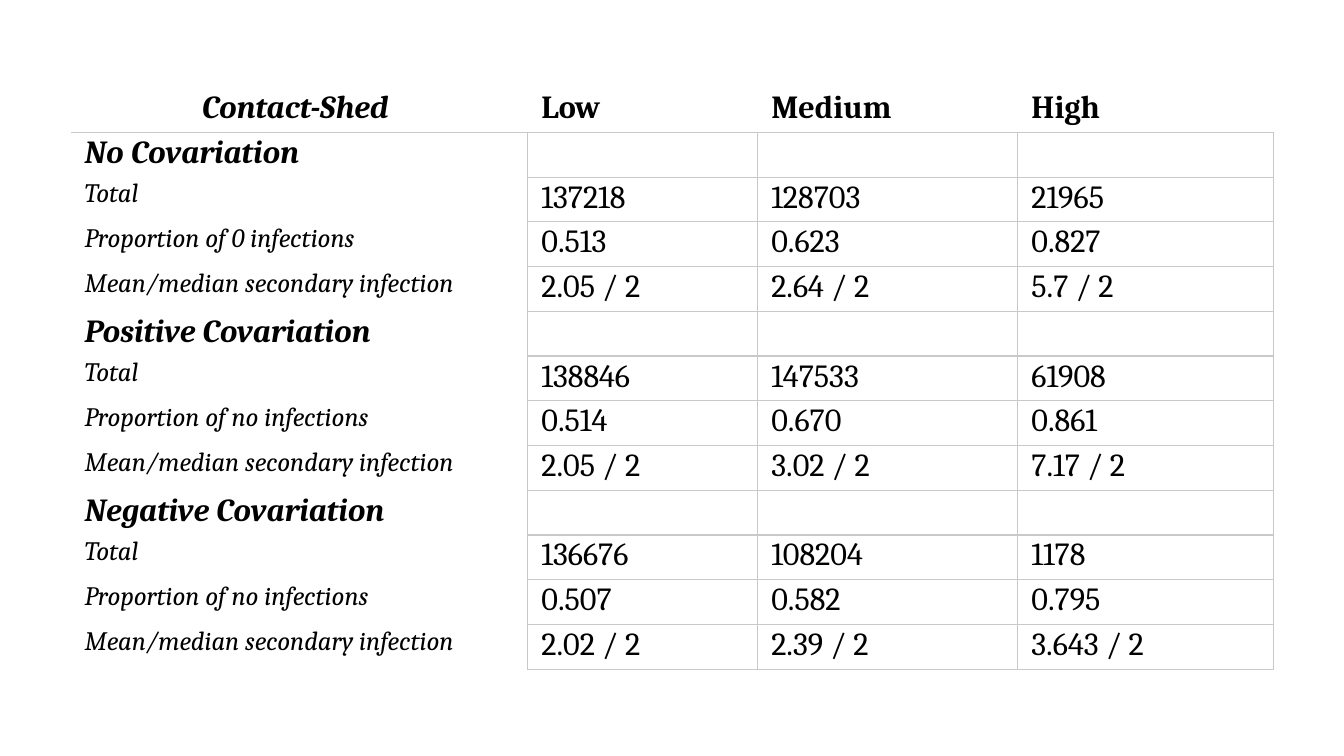
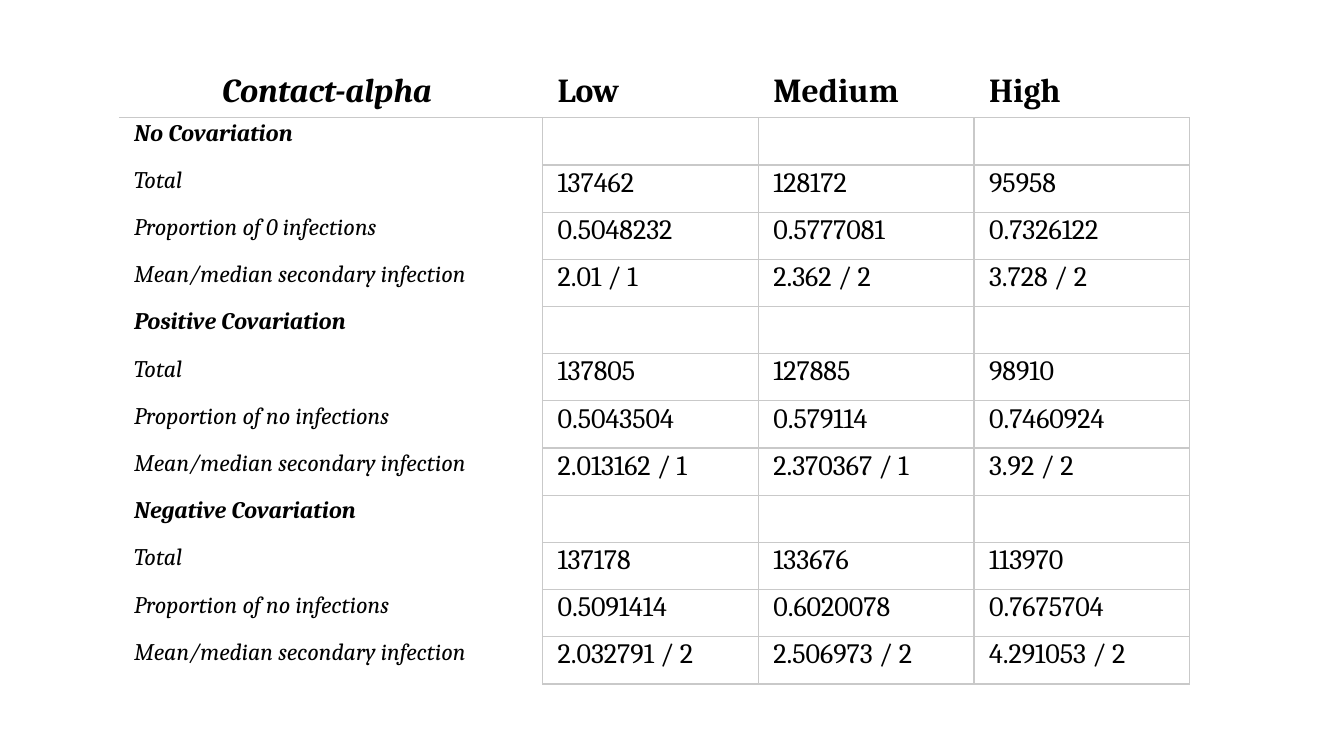
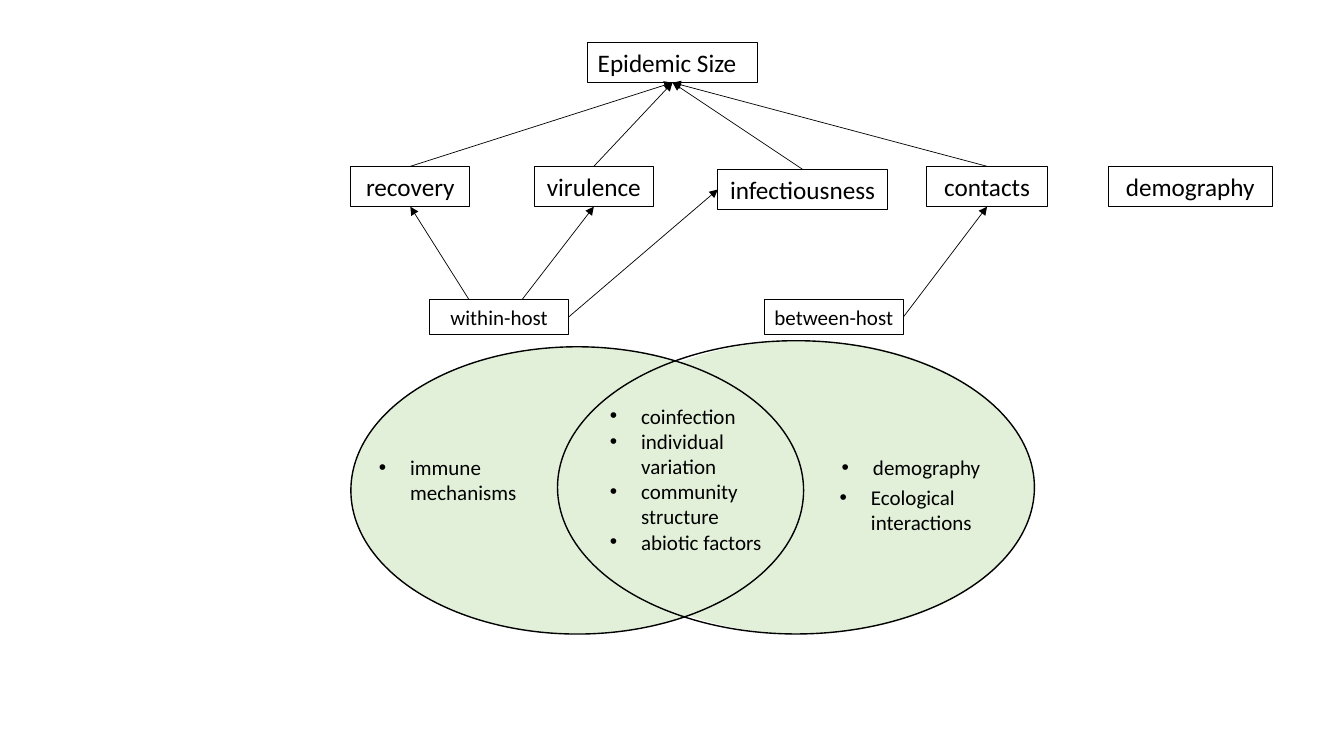
"""Build two covariation tables and an epidemic size diagram."""
from lxml.etree import SubElement
from pptx import Presentation
from pptx.dml.color import RGBColor
from pptx.enum.shapes import MSO_CONNECTOR, MSO_SHAPE
from pptx.enum.text import PP_ALIGN
from pptx.oxml.ns import qn
from pptx.util import Pt

PX = 9144
BLACK, WHITE, GRAY, GREEN = "000000", "FFFFFF", "C9C9C9", "E2F0D9"
TOP, LEFT, BOTTOM, RIGHT = range(4)


def color(value):
    return RGBColor.from_string(value)


def style(paragraph, name, size, bold=False, italic=False):
    paragraph.font.name = name
    paragraph.font.size = Pt(size)
    paragraph.font.bold = bold
    paragraph.font.italic = italic
    paragraph.font.color.rgb = color(BLACK)


presentation = Presentation()
presentation.slide_width, presentation.slide_height = 1333 * PX, 750 * PX
blank_layout = presentation.slide_layouts[6]

groups = [("No Covariation", "0"), ("Positive Covariation", "no"), ("Negative Covariation", "no")]
tables = [
    {
        "heading": "Contact-Shed ", "frame": (70, 87, 1193, 577), "columns": (453, 228, 258, 254),
        "margin": 14, "sizes": {"header": 23, "group": 23, "label": 19, "value": 23},
        "values": [
            ("137218", "128703", "21965"), ("0.513", "0.623", "0.827"), ("2.05 / 2", "2.64 / 2", "5.7 / 2"),
            ("138846", "147533", "61908"), ("0.514", "0.670", "0.861"), ("2.05 / 2", "3.02 / 2", "7.17 / 2"),
            ("136676", "108204", "1178"), ("0.507", "0.582", "0.795"), ("2.02 / 2", "2.39 / 2", "3.643 / 2"),
        ],
    },
    {
        "heading": "Contact-alpha ", "frame": (118, 70, 1062, 609), "columns": (420, 214, 214, 214),
        "margin": 15, "sizes": {"header": 24, "group": 17, "label": 17, "value": 20},
        "values": [
            ("137462", "128172", "95958"), ("0.5048232", "0.5777081", "0.7326122"),
            ("2.01 / 1", "2.362 / 2", "3.728 / 2"),
            ("137805", "127885", "98910"), ("0.5043504", "0.579114", "0.7460924"),
            ("2.013162 / 1", "2.370367 / 1", "3.92 / 2"),
            ("137178", "133676", "113970"), ("0.5091414", "0.6020078", "0.7675704"),
            ("2.032791 / 2", "2.506973 / 2", "4.291053 / 2"),
        ],
    },
]

for data in tables:
    rows = [("header", (data["heading"], "Low", "Medium", "High"))]
    for index, (group, none_word) in enumerate(groups):
        rows.append(("group", (group, "", "", "")))
        labels = ("Total", f"Proportion of {none_word} infections", "Mean/median secondary infection")
        for label, values in zip(labels, data["values"][index * 3:index * 3 + 3]):
            rows.append(("label", (label, *values)))

    slide = presentation.slides.add_slide(blank_layout)
    frame = [length * PX for length in data["frame"]]
    table = slide.shapes.add_table(len(rows), 4, *frame).table
    table.first_row = table.horz_banding = False
    for column, width in zip(table.columns, data["columns"]):
        column.width = width * PX

    for row_index, (kind, texts) in enumerate(rows):
        for column_index, text in enumerate(texts):
            cell = table.cell(row_index, column_index)
            cell.margin_left = cell.margin_right = data["margin"] * PX
            cell.margin_top, cell.margin_bottom = 2 * PX, 0
            if row_index == 0:
                visible_sides = "B"
            elif column_index == 0:
                visible_sides = "RT" if row_index == 1 else "R"
            else:
                visible_sides = "LRTB"
            properties = cell._tc.get_or_add_tcPr()
            for side in "LRTB":
                border = SubElement(properties, qn(f"a:ln{side}"), w=str(Pt(1)))
                if side in visible_sides:
                    SubElement(SubElement(border, qn("a:solidFill")), qn("a:srgbClr"), val=GRAY)
                else:
                    SubElement(border, qn("a:noFill"))
            cell.fill.solid()
            cell.fill.fore_color.rgb = color(WHITE)

            cell.text = text
            paragraph = cell.text_frame.paragraphs[0]
            is_value = kind == "label" and column_index > 0
            size = data["sizes"]["value" if is_value else kind]
            style(paragraph, "Cambria", size, kind != "label", column_index == 0)
            if row_index == column_index == 0:
                paragraph.alignment = PP_ALIGN.CENTER

slide = presentation.slides.add_slide(blank_layout)

ellipses = [
    ((564, 338, 462, 291), True, False),
    ((348, 344, 449, 285), True, True),
    ((553, 338, 473, 291), False, True),
]
for frame, filled, outlined in ellipses:
    ellipse = slide.shapes.add_shape(MSO_SHAPE.OVAL, *[length * PX for length in frame])
    ellipse.shadow.inherit = False
    if filled:
        ellipse.fill.solid()
        ellipse.fill.fore_color.rgb = color(GREEN)
    else:
        ellipse.fill.background()
    if outlined:
        ellipse.line.color.rgb = color(BLACK)
        ellipse.line.width = Pt(1)
    else:
        ellipse.line.fill.background()

factors = [
    ("Epidemic Size", (583, 42, 168, 40), 18),
    ("recovery", (348, 165, 118, 40), 18),
    ("virulence", (530, 165, 118, 40), 18),
    ("infectiousness", (712, 168, 168, 40), 18),
    ("contacts", (919, 165, 120, 40), 18),
    ("demography", (1099, 165, 163, 40), 18),
    ("within-host", (426, 297, 138, 35), 15),
    ("between-host", (758, 297, 138, 35), 15),
]
boxes = {}
for name, frame, size in factors:
    box = slide.shapes.add_textbox(*[length * PX for length in frame])
    box.line.color.rgb = color(BLACK)
    box.line.width = Pt(0.75)
    is_outcome = name == "Epidemic Size"
    text_frame = box.text_frame
    text_frame.word_wrap = True
    text_frame.margin_left, text_frame.margin_right = (10 if is_outcome else 0) * PX, 0
    paragraph = text_frame.paragraphs[0]
    paragraph.text = name
    paragraph.alignment = PP_ALIGN.LEFT if is_outcome else PP_ALIGN.CENTER
    style(paragraph, "Calibri", size)
    boxes[name] = box

lists = [
    ((595, 395, 201, 162), ["coinfection", "individual variation", "community structure", "abiotic factors"]),
    ((366, 446, 201, 61), ["immune mechanisms"]),
    ((825, 446, 201, 35), ["demography"]),
    ((823, 476, 201, 61), ["Ecological interactions"]),
]
for (left, top, width, height), items in lists:
    text_frame = slide.shapes.add_textbox(left * PX, top * PX, width * PX, height * PX).text_frame
    text_frame.word_wrap = True
    for index, item in enumerate(items):
        paragraph = text_frame.add_paragraph() if index else text_frame.paragraphs[0]
        paragraph.text = item
        properties = paragraph._p.get_or_add_pPr()
        properties.set("marL", str(31 * PX))
        properties.set("indent", str(-31 * PX))
        SubElement(properties, qn("a:buFont"), typeface="Arial")
        SubElement(properties, qn("a:buChar"), char="•")
        style(paragraph, "Calibri", 15)

arrows = [
    ("within-host", (465, 297), "recovery", BOTTOM),
    ("within-host", (518, 297), "virulence", BOTTOM),
    ("within-host", RIGHT, "infectiousness", LEFT),
    ("between-host", RIGHT, "contacts", BOTTOM),
]
for name in ("recovery", "virulence", "infectiousness", "contacts"):
    arrows.append((name, TOP, "Epidemic Size", BOTTOM))
for source, start, target, target_side in arrows:
    start_x, start_y = start if isinstance(start, tuple) else (0, 0)
    arrow = slide.shapes.add_connector(MSO_CONNECTOR.STRAIGHT, start_x * PX, start_y * PX, 0, 0)
    if not isinstance(start, tuple):
        arrow.begin_connect(boxes[source], start)
    arrow.end_connect(boxes[target], target_side)
    arrow.line.color.rgb = color(BLACK)
    arrow.line.width = Pt(0.5)
    SubElement(arrow.line._get_or_add_ln(), qn("a:tailEnd"), type="triangle")
    SubElement(arrow._element.spPr, qn("a:effectLst"))

presentation.save("out.pptx")
